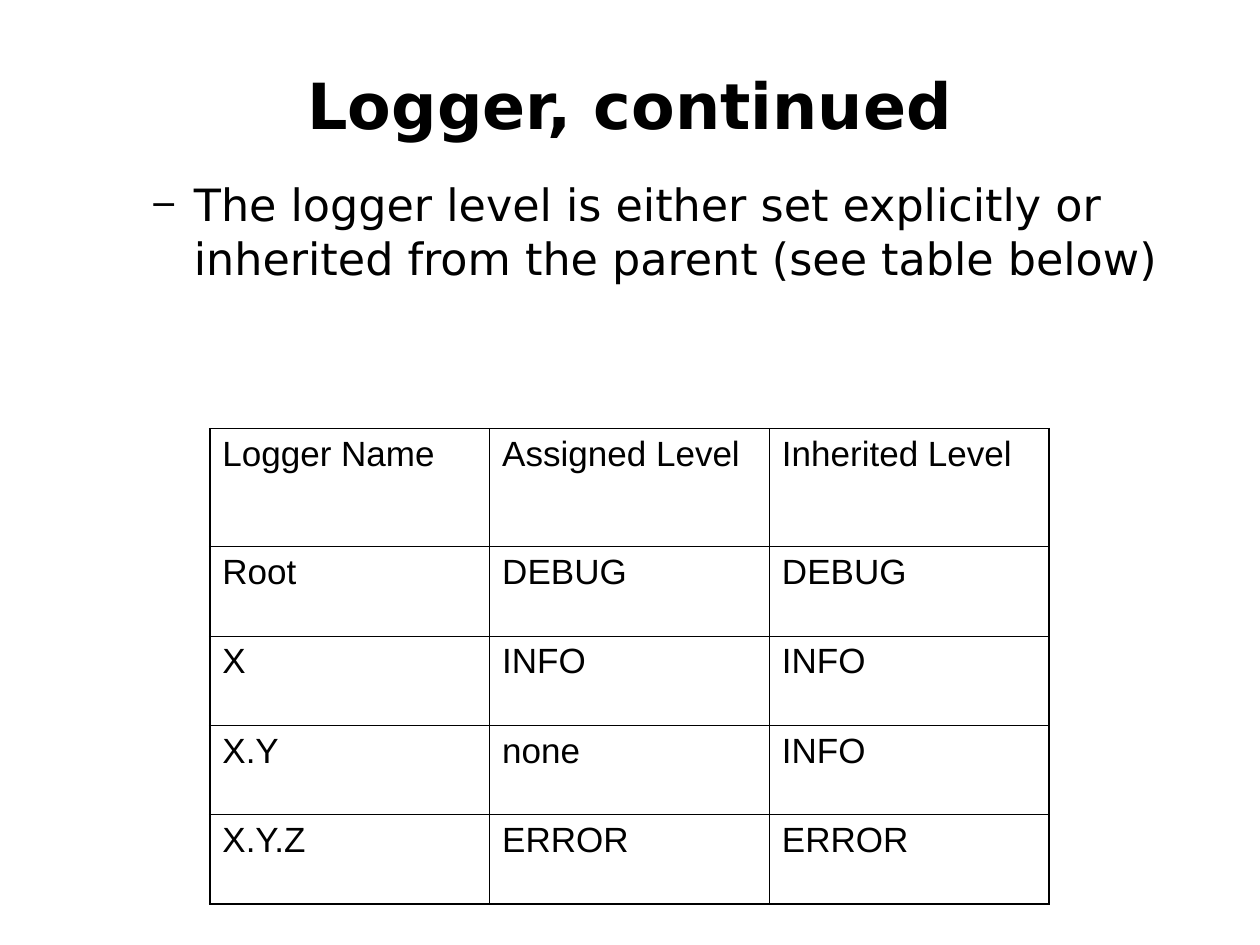
from lxml.etree import SubElement
from pptx import Presentation
from pptx.dml.color import RGBColor
from pptx.enum.text import MSO_ANCHOR as Anchor, PP_ALIGN as Align
from pptx.oxml.ns import qn
from pptx.util import Cm, Pt

TITLE = "Logger, continued"
STATEMENT = "The logger level is either set explicitly or inherited from the parent (see table below)"
LEVELS = [
    ("Logger Name", "Assigned Level", "Inherited Level"),
    ("Root", "DEBUG", "DEBUG"),
    ("X", "INFO", "INFO"),
    ("X.Y", "none", "INFO"),
    ("X.Y.Z", "ERROR", "ERROR"),
]
BLACK = "000000"
HEADING_FONT, TABLE_FONT = "DejaVu Sans", "Arial"
COLUMN_WIDTH, HEADER_HEIGHT, ROW_HEIGHT = Cm(5.64), Cm(2.38), Cm(1.8)
OUTER_LINE, INNER_LINE = Pt(1.08), Pt(0.45)


def color(hex_value):
    return RGBColor.from_string(hex_value)


def add_run(paragraph, text, font_name, size, bold=False):
    run = paragraph.add_run()
    run.text = text
    run.font.name = font_name
    run.font.size = Pt(size)
    run.font.bold = bold
    run.font.color.rgb = color(BLACK)


def add_text_box(slide, left, top, width, height):
    frame = slide.shapes.add_textbox(left, top, width, height).text_frame
    frame.word_wrap = True
    return frame


def add_dash_bullet(paragraph):
    properties = paragraph._p.get_or_add_pPr()
    properties.set("marL", str(Cm(2.39)))
    properties.set("indent", str(Cm(-0.89)))
    bullet_color = SubElement(properties, qn("a:buClr"))
    SubElement(bullet_color, qn("a:srgbClr"), val=BLACK)
    SubElement(properties, qn("a:buSzPct"), val="75000")
    SubElement(properties, qn("a:buFont"), typeface=HEADING_FONT)
    SubElement(properties, qn("a:buChar"), char="−")


def set_borders(cell, outer_sides):
    """Draw the cell's four sides, heavier where they lie on the table's edge."""
    properties = cell._tc.get_or_add_tcPr()
    for side, is_outer in outer_sides.items():
        width = OUTER_LINE if is_outer else INNER_LINE
        line = SubElement(properties, qn(f"a:ln{side}"), w=str(width))
        fill = SubElement(line, qn("a:solidFill"))
        SubElement(fill, qn("a:srgbClr"), val=BLACK)


def add_level_table(slide):
    row_count, column_count = len(LEVELS), len(LEVELS[0])
    height = HEADER_HEIGHT + ROW_HEIGHT * (row_count - 1)
    table = slide.shapes.add_table(
        row_count, column_count, Cm(4.23), Cm(8.64), COLUMN_WIDTH * column_count, height
    ).table
    table.first_row = table.horz_banding = False
    for column in table.columns:
        column.width = COLUMN_WIDTH
    for i, (row, texts) in enumerate(zip(table.rows, LEVELS)):
        row.height = ROW_HEIGHT if i else HEADER_HEIGHT
        for j, (cell, text) in enumerate(zip(row.cells, texts)):
            set_borders(cell, {
                "L": j == 0, "R": j == column_count - 1,
                "T": i == 0, "B": i == row_count - 1,
            })
            cell.fill.background()
            add_run(cell.text_frame.paragraphs[0], text, TABLE_FONT, 20)


def main():
    presentation = Presentation()
    presentation.slide_width, presentation.slide_height = Cm(25.4), Cm(19.05)
    slide = presentation.slides.add_slide(presentation.slide_layouts[6])

    statement = add_text_box(slide, Cm(1.27), Cm(3.45), Cm(22.35), Cm(14.76)).paragraphs[0]
    add_dash_bullet(statement)
    add_run(statement, STATEMENT, HEADING_FONT, 25.4)

    add_level_table(slide)

    title_frame = add_text_box(slide, Cm(1.27), Cm(0.76), Cm(22.86), Cm(2.24))
    title_frame.vertical_anchor = Anchor.BOTTOM
    title = title_frame.paragraphs[0]
    title.alignment = Align.CENTER
    add_run(title, TITLE, HEADING_FONT, 36.3, bold=True)

    presentation.save("out.pptx")


if __name__ == "__main__":
    main()
